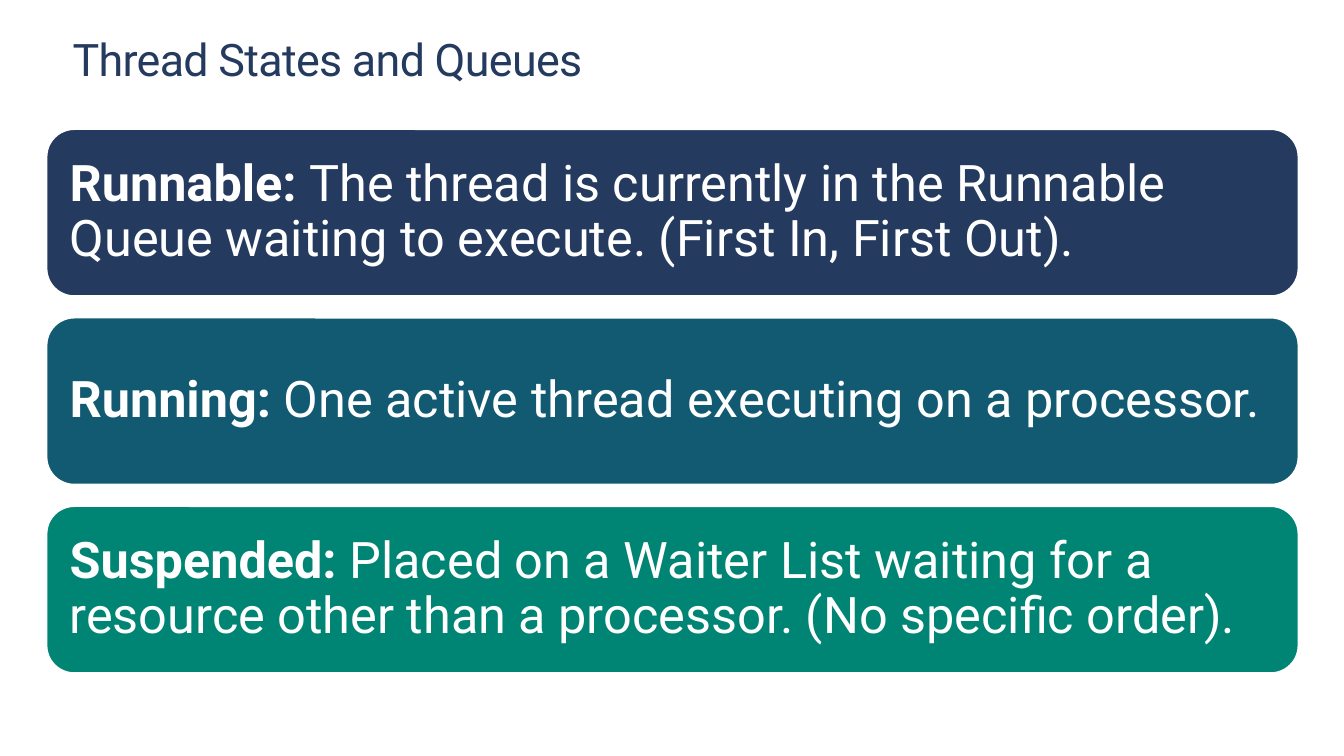
from dataclasses import dataclass

from pptx import Presentation
from pptx.dml.color import RGBColor
from pptx.enum.shapes import MSO_SHAPE
from pptx.enum.text import MSO_ANCHOR, MSO_AUTO_SIZE, PP_ALIGN
from pptx.util import Emu, Pt

SCALE = 9144  # EMU in one px, at 100 px to the inch


@dataclass(frozen=True)
class Theme:
    font: str = "Roboto"
    navy: str = "243A5E"
    blue: str = "125A71"
    green: str = "008575"
    white: str = "FFFFFF"
    head: int = 32
    body: int = 36


THEME = Theme()

STATES = [
    ("Runnable: ", "The thread is currently in the Runnable Queue waiting "
     "to execute. (First In, First Out).", THEME.navy),
    ("Running: ", "One active thread executing on a processor.", THEME.blue),
    ("Suspended: ", "Placed on a Waiter List waiting for a resource other "
     "than a processor. (No specific order).", THEME.green),
]
LEFT, TOP, WIDTH, HEIGHT, PITCH = 46, 128, 1242, 166, 187


def px(n):
    return Emu(n * SCALE)


def paint(font, size, color):
    font.name = THEME.font
    font.size = Pt(size)
    font.color.rgb = RGBColor.from_string(color)


def inset(frame, n):
    frame.margin_left = frame.margin_right = px(n)
    frame.margin_top = frame.margin_bottom = px(n)


def set_title(slide, text):
    title = slide.shapes.title
    title.left, title.top = px(72), px(35)
    title.width, title.height = px(1190), px(50)
    frame = title.text_frame
    frame.text = text
    frame.word_wrap = True
    frame.auto_size = MSO_AUTO_SIZE.SHAPE_TO_FIT_TEXT
    frame.vertical_anchor = MSO_ANCHOR.TOP
    inset(frame, 0)
    para = frame.paragraphs[0]
    para.alignment = PP_ALIGN.LEFT
    para.line_spacing = Pt(36.2)
    paint(para.font, THEME.head, THEME.navy)
    para.runs[0].font._element.set("spc", "-50")


def add_state(slide, top, name, text, color):
    """Add a rounded bar with a bold state name and its meaning."""
    bar = slide.shapes.add_shape(MSO_SHAPE.ROUNDED_RECTANGLE,
                                 px(LEFT), px(top), px(WIDTH), px(HEIGHT))
    bar.shadow.inherit = False
    bar.fill.solid()
    bar.fill.fore_color.rgb = RGBColor.from_string(color)
    bar.line.color.rgb = RGBColor.from_string(THEME.white)
    bar.line.width = Pt(1.5)
    frame = bar.text_frame
    frame.word_wrap = True
    frame.vertical_anchor = MSO_ANCHOR.MIDDLE
    inset(frame, 15)
    para = frame.paragraphs[0]
    para.alignment = PP_ALIGN.LEFT
    para.line_spacing = 0.9
    paint(para.font, THEME.body, THEME.white)
    label = para.add_run()
    label.text = name
    label.font.bold = True
    para.add_run().text = text


def main():
    deck = Presentation()
    deck.slide_width, deck.slide_height = px(1333), px(750)
    slide = deck.slides.add_slide(deck.slide_layouts[5])
    set_title(slide, "Thread States and Queues")
    for i, state in enumerate(STATES):
        add_state(slide, TOP + i * PITCH, *state)
    deck.save("out.pptx")


if __name__ == "__main__":
    main()
